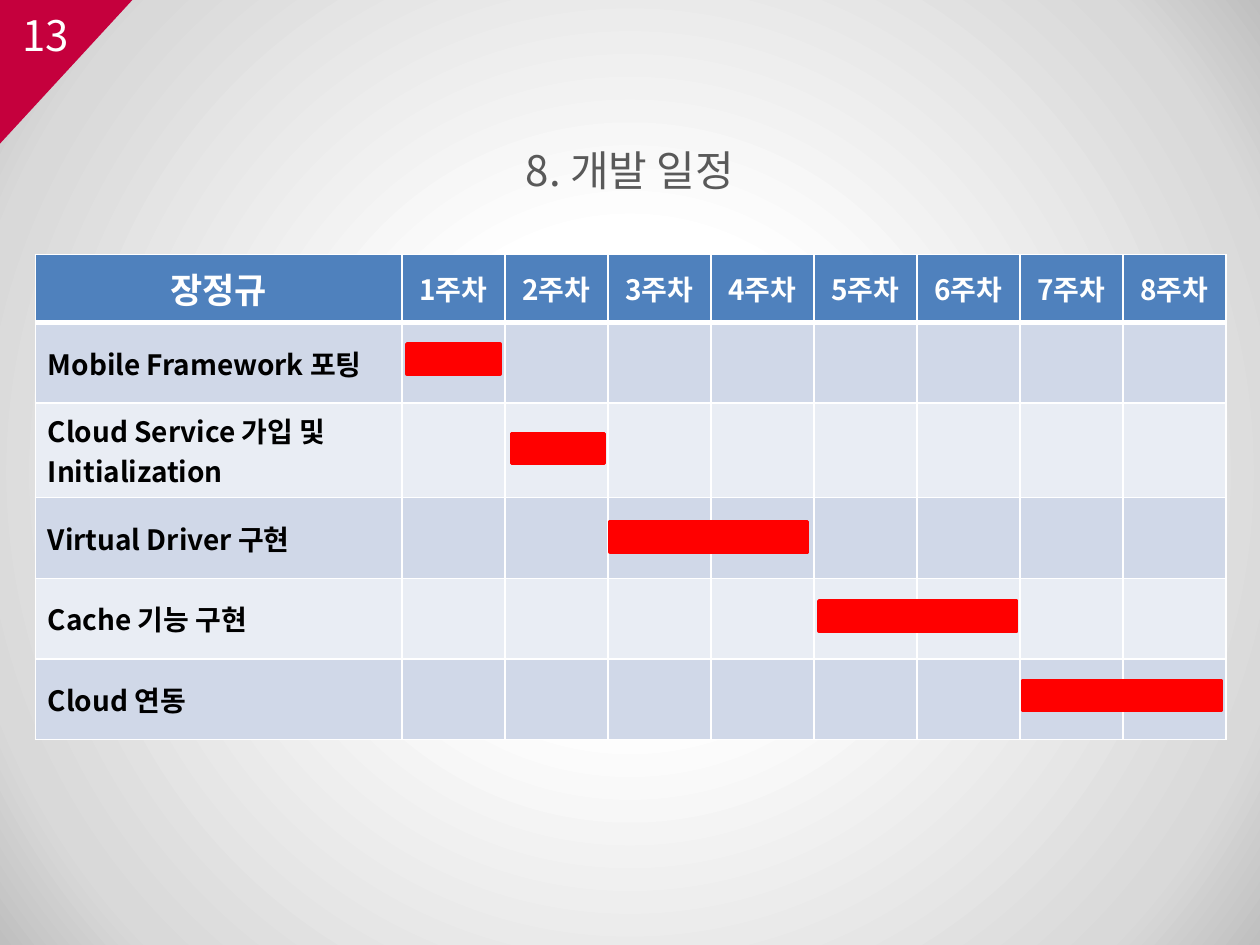
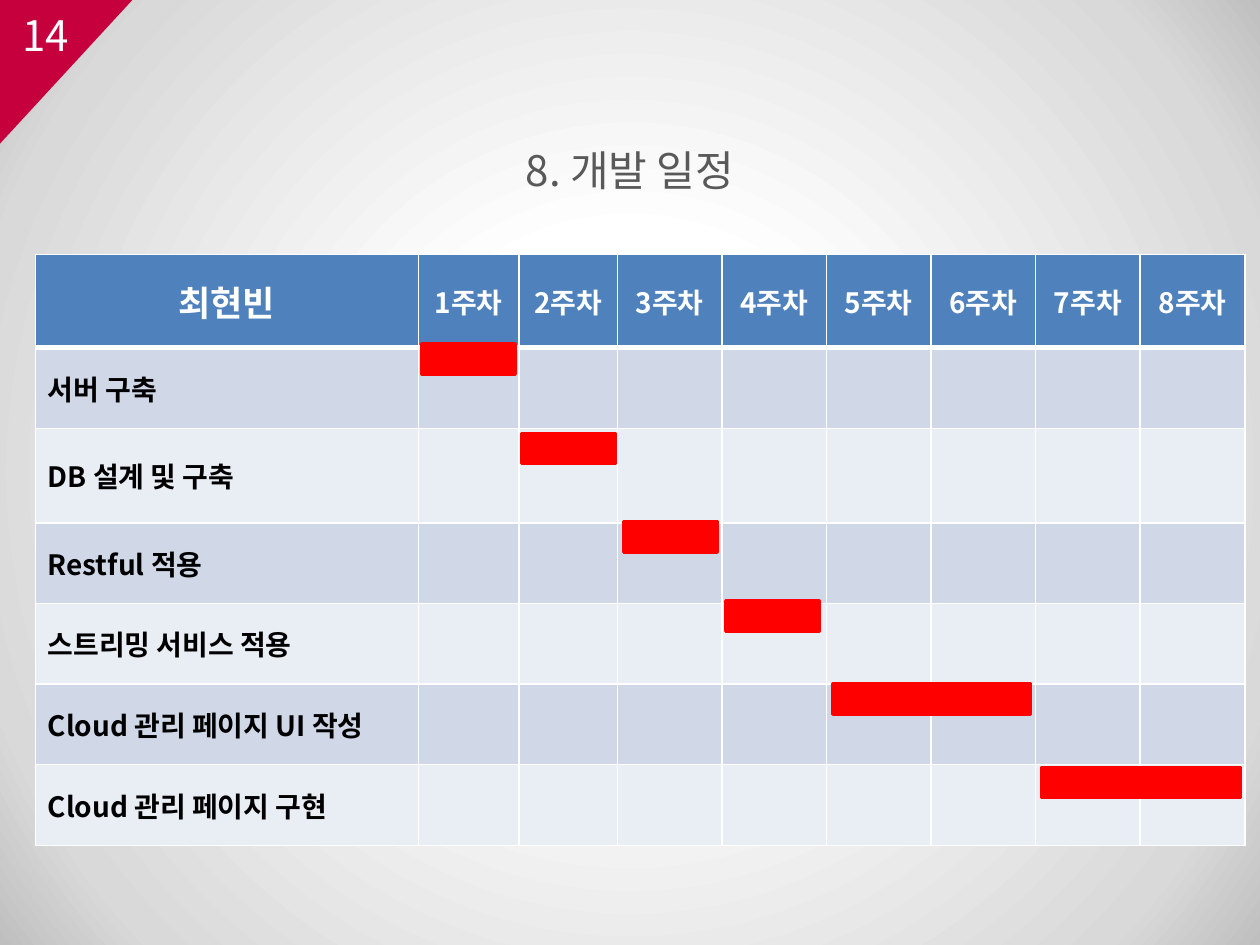
from pptx import Presentation
from pptx.dml.color import RGBColor
from pptx.enum.shapes import MSO_SHAPE
from pptx.enum.text import MSO_ANCHOR, PP_ALIGN
from pptx.oxml import parse_xml
from pptx.oxml.ns import nsdecls, qn
from pptx.util import Inches, Pt

FONT = "Noto Sans CJK KR"
COLORS = {
    "corner": "C5003D",
    "title": "595959",
    "header": "4F81BD",
    "odd_row": "D0D8E8",
    "even_row": "E9EDF4",
    "bar": "FF0000",
    "white": "FFFFFF",
    "black": "000000",
}
BACKGROUND_STOPS = [(30, "FFFFFF"), (85, "D9D9D9"), (100, "BFBFBF")]
TITLE = "8. 개발 일정"
WEEKS = 8
TABLE_LEFT, TABLE_TOP = 0.28, 2.02
ROW_HEIGHT, TALL_ROW_HEIGHT = 0.64, 0.75
BAR_HEIGHT = 0.24
BAR_WIDTHS = {1: 0.74, 2: 1.57}

SCHEDULES = [
    {
        "number": "13",
        "member": "장정규",
        "header_height": 0.54,
        "columns": [2.91] + [(9.45 - 2.91) / WEEKS] * WEEKS,
        "tasks": [
            ("Mobile Framework 포팅", 3.23, 2.73, 1),
            ("Cloud Service 가입 및 Initialization", 4.06, 3.44, 1),
            ("Virtual Driver 구현", 4.84, 4.14, 2),
            ("Cache 기능 구현", 6.5, 4.77, 2),
            ("Cloud 연동", 8.12, 5.4, 2),
        ],
    },
    {
        "number": "14",
        "member": "최현빈",
        "header_height": 0.74,
        "columns": [3.04, 0.8, 0.78] + [0.83] * (WEEKS - 2),
        "tasks": [
            ("서버 구축", 3.35, 2.73, 1),
            ("DB 설계 및 구축", 4.14, 3.44, 1),
            ("Restful 적용", 4.95, 4.14, 1),
            ("스트리밍 서비스 적용", 5.76, 4.77, 1),
            ("Cloud 관리 페이지 UI 작성", 6.61, 5.43, 2),
            ("Cloud 관리 페이지 구현", 8.27, 6.09, 2),
        ],
    },
]


def write_text(frame, text, size, color, bold=False, align=PP_ALIGN.LEFT):
    frame.word_wrap = True
    para = frame.paragraphs[0]
    para.alignment = align
    span = para.add_run()
    span.text = text
    span.font.color.rgb = RGBColor.from_string(COLORS[color])
    for name, value in {"name": FONT, "size": Pt(size), "bold": bold}.items():
        setattr(span.font, name, value)
    span._r.get_or_add_rPr().append(parse_xml(f'<a:ea {nsdecls("a")} typeface="{FONT}"/>'))


def style_cell(cell, color, top, bottom):
    properties = cell._tc.get_or_add_tcPr()
    for side, points in (("L", 1), ("R", 1), ("T", top), ("B", bottom)):
        properties.append(parse_xml(
            f'<a:ln{side} {nsdecls("a")} w="{Pt(points)}"><a:solidFill>'
            f'<a:srgbClr val="{COLORS["white"]}"/></a:solidFill></a:ln{side}>'))
    cell.fill.solid()
    cell.fill.fore_color.rgb = RGBColor.from_string(COLORS[color])
    cell.vertical_anchor = MSO_ANCHOR.MIDDLE


deck = Presentation()
deck.slide_width, deck.slide_height = Inches(10), Inches(7.5)

deck.slide_master.background.fill.gradient()
gradient = deck.slide_master.element.find(".//" + qn("a:gradFill"))
stops = "".join(
    f'<a:gs pos="{position * 1000}"><a:srgbClr val="{color}"/></a:gs>'
    for position, color in BACKGROUND_STOPS)
gradient.getparent().replace(gradient, parse_xml(
    f'<a:gradFill {nsdecls("a")} rotWithShape="1"><a:gsLst>{stops}</a:gsLst>'
    '<a:path path="circle"><a:fillToRect l="50000" t="50000" r="50000" b="50000"/>'
    '</a:path></a:gradFill>'))

for schedule in SCHEDULES:
    page = deck.slides.add_slide(deck.slide_layouts[6])

    corner = page.shapes.add_shape(
        MSO_SHAPE.RIGHT_TRIANGLE, Inches(-0.05), Inches(0.04), Inches(1.15), Inches(1.06))
    corner.rotation = 90
    corner.shadow.inherit = False
    corner.fill.solid()
    corner.fill.fore_color.rgb = RGBColor.from_string(COLORS["corner"])
    corner.line.fill.background()

    for text, left, top, width, color, align in (
        (schedule["number"], 0.08, 0, 0.98, "white", PP_ALIGN.LEFT),
        (TITLE, 0.5, 1.07, 9, "title", PP_ALIGN.CENTER),
    ):
        box = page.shapes.add_textbox(Inches(left), Inches(top), Inches(width), Inches(0.55))
        box.text_frame.vertical_anchor = MSO_ANCHOR.MIDDLE
        write_text(box.text_frame, text, 24, color, align=align)

    tasks, columns = schedule["tasks"], schedule["columns"]
    heights = [schedule["header_height"]] + [ROW_HEIGHT] * len(tasks)
    heights[2] = TALL_ROW_HEIGHT
    table = page.shapes.add_table(
        len(heights), len(columns), Inches(TABLE_LEFT), Inches(TABLE_TOP),
        Inches(sum(columns)), Inches(sum(heights))).table
    table.horz_banding = False
    for column, width in zip(table.columns, columns):
        column.width = Inches(width)
    for row, height in zip(table.rows, heights):
        row.height = Inches(height)

    for index, row in enumerate(table.rows):
        color = "header" if index == 0 else "odd_row" if index % 2 else "even_row"
        for cell in row.cells:
            style_cell(cell, color, 3 if index == 1 else 1, 3 if index == 0 else 1)

    write_text(table.cell(0, 0).text_frame, schedule["member"], 20, "white", True, PP_ALIGN.CENTER)
    for week in range(1, WEEKS + 1):
        write_text(table.cell(0, week).text_frame, f"{week}주차", 16, "white", True, PP_ALIGN.CENTER)

    for index, (task, left, top, weeks) in enumerate(tasks, 1):
        write_text(table.cell(index, 0).text_frame, task, 16, "black", True)
        bar = page.shapes.add_shape(
            MSO_SHAPE.RECTANGLE, Inches(left), Inches(top),
            Inches(BAR_WIDTHS[weeks]), Inches(BAR_HEIGHT))
        bar.shadow.inherit = False
        bar.fill.solid()
        bar.fill.fore_color.rgb = RGBColor.from_string(COLORS["bar"])
        bar.line.color.rgb = RGBColor.from_string(COLORS["bar"])
        bar.line.width = Pt(2)

deck.save("out.pptx")
